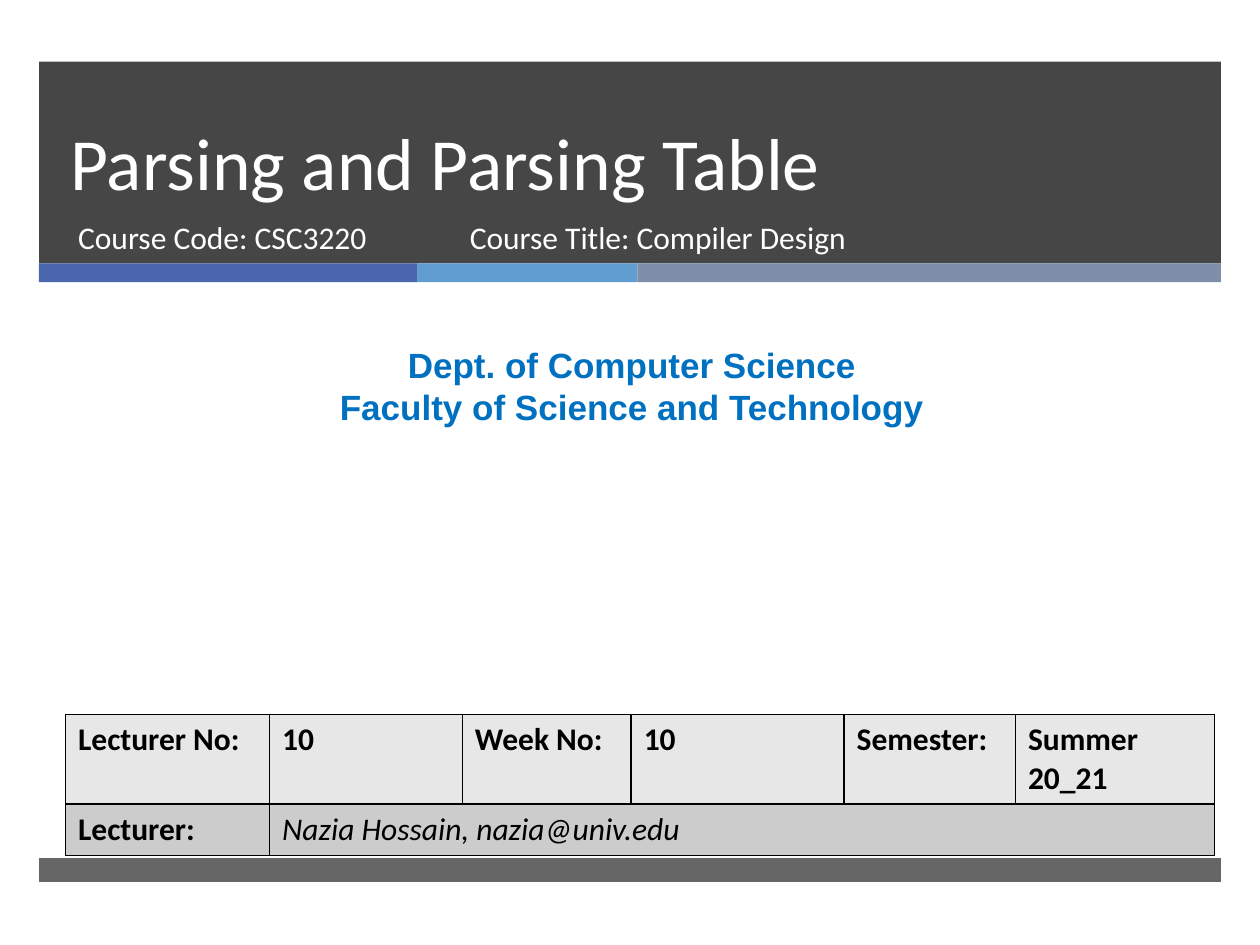
from lxml.etree import SubElement
from pptx import Presentation
from pptx.dml.color import RGBColor
from pptx.enum.shapes import MSO_SHAPE
from pptx.enum.text import MSO_ANCHOR, MSO_AUTO_SIZE, PP_ALIGN
from pptx.oxml.ns import qn
from pptx.util import Inches, Pt

WHITE = RGBColor(0xFF, 0xFF, 0xFF)
BLACK = RGBColor(0x00, 0x00, 0x00)
CHARCOAL = RGBColor(0x26, 0x26, 0x26)
INDIGO = RGBColor(0x4A, 0x66, 0xAC)
SKY = RGBColor(0x62, 0x9D, 0xD1)
SLATE = RGBColor(0x7F, 0x8F, 0xA9)
DEPARTMENT_BLUE = RGBColor(0x00, 0x70, 0xC0)
LIGHT_ROW = RGBColor(0xE7, 0xE7, 0xE7)
DARK_ROW = RGBColor(0xCC, 0xCC, 0xCC)

BAND_LEFT = 0.31
BAND_WIDTH = 9.38


class SlideBuilder:
    font = "Calibri"
    text_size = 18

    def __init__(self, deck):
        self.page = deck.slides.add_slide(deck.slide_layouts[0])

    def band(self, left, top, width, height, color, opacity=100):
        shape = self.page.shapes.add_shape(
            MSO_SHAPE.RECTANGLE, Inches(left), Inches(top), Inches(width), Inches(height))
        shape.shadow.inherit = False
        shape.line.fill.background()
        shape.fill.solid()
        shape.fill.fore_color.rgb = color
        if opacity < 100:
            color_element = shape.fill._xPr.find(qn("a:solidFill"))[0]
            SubElement(color_element, qn("a:alpha"), val=str(opacity * 1000))

    def span(self, para, text, color, size=None, font=None, bold=False, italic=False):
        span = para.add_run()
        span.text = text
        span.font.name = font or self.font
        span.font.size = Pt(size or self.text_size)
        span.font.color.rgb = color
        span.font.bold = bold
        span.font.italic = italic

    def fill_text(self, box, place, lines, color, align=PP_ALIGN.LEFT,
                  anchor=MSO_ANCHOR.TOP, line_spacing=None, **style):
        box.left, box.top, box.width, box.height = map(Inches, place)
        frame = box.text_frame
        frame.word_wrap = True
        frame.auto_size = MSO_AUTO_SIZE.NONE
        frame.vertical_anchor = anchor
        for index, line in enumerate(lines):
            para = frame.add_paragraph() if index else frame.paragraphs[0]
            para.alignment = align
            para.space_before = Pt(0)
            para.line_spacing = line_spacing
            self.span(para, line, color, **style)

    def placeholder(self, index, place, text, **style):
        """Fill a layout placeholder and raise it above the bands."""
        box = self.page.placeholders[index]
        self.page.shapes._spTree.append(box._element)
        self.fill_text(box, place, [text], WHITE, **style)

    def text_box(self, place, lines, color, **style):
        box = self.page.shapes.add_textbox(*map(Inches, place))
        self.fill_text(box, place, lines, color, **style)

    def cell(self, cell, text, fill, **style):
        cell.fill.solid()
        cell.fill.fore_color.rgb = fill
        self.span(cell.text_frame.paragraphs[0], text, BLACK, **style)

    def borders(self, cell):
        properties = cell._tc.get_or_add_tcPr()
        for position, side in enumerate(("lnL", "lnR", "lnT", "lnB")):
            line = properties.makeelement(qn(f"a:{side}"), {"w": str(Pt(1))})
            solid = SubElement(line, qn("a:solidFill"))
            SubElement(solid, qn("a:srgbClr"), val=str(BLACK))
            properties.insert(position, line)

    def lecture_table(self, left, top, widths, heights, details, lecturer):
        table = self.page.shapes.add_table(
            len(heights), len(widths), Inches(left), Inches(top),
            Inches(sum(widths)), Inches(sum(heights))).table
        for column, width in zip(table.columns, widths):
            column.width = Inches(width)
        for row, height in zip(table.rows, heights):
            row.height = Inches(height)
        table.cell(1, 1).merge(table.cell(1, len(widths) - 1))
        for column, text in enumerate(details):
            self.cell(table.cell(0, column), text, LIGHT_ROW, bold=True)
        self.cell(table.cell(1, 0), "Lecturer:", DARK_ROW, bold=True)
        self.cell(table.cell(1, 1), lecturer, DARK_ROW, italic=True)
        for cell in table.iter_cells():
            self.borders(cell)


def main():
    deck = Presentation()
    deck.slide_width, deck.slide_height = Inches(10), Inches(7.5)
    slide = SlideBuilder(deck)

    slide.band(BAND_LEFT, 0.49, BAND_WIDTH, 1.6, CHARCOAL, opacity=85)
    left = BAND_LEFT
    for width, color in ((3, INDIGO), (1.75, SKY), (4.63, SLATE)):
        slide.band(left, 2.09, width, 0.15, color)
        left += width
    slide.band(BAND_LEFT, 6.81, BAND_WIDTH, 0.19, CHARCOAL, opacity=70)

    slide.placeholder(0, (0.46, 0.49, 8.54, 1.19), "Parsing and Parsing Table",
                      anchor=MSO_ANCHOR.BOTTOM, line_spacing=Pt(46), size=42)
    slide.placeholder(1, (0.52, 1.68, 3.05, 0.53), "Course Code: CSC3220")
    slide.text_box((0.08, 2.68, 9.87, 0.77),
                   ["Dept. of Computer Science", "Faculty of Science and Technology"],
                   DEPARTMENT_BLUE, align=PP_ALIGN.CENTER, size=20, font="Arial", bold=True)
    slide.lecture_table(
        0.52, 5.67, (1.62, 1.53, 1.34, 1.69, 1.36, 1.58), (0.7, 0.41),
        ("Lecturer No:", "10", "Week No:", "10", "Semester:", "Summer 20_21"),
        "Nazia Hossain, nazia@univ.edu")
    slide.text_box((3.63, 1.68, 4.55, 0.53), ["Course Title: Compiler Design"], WHITE)

    deck.save("out.pptx")


if __name__ == "__main__":
    main()
